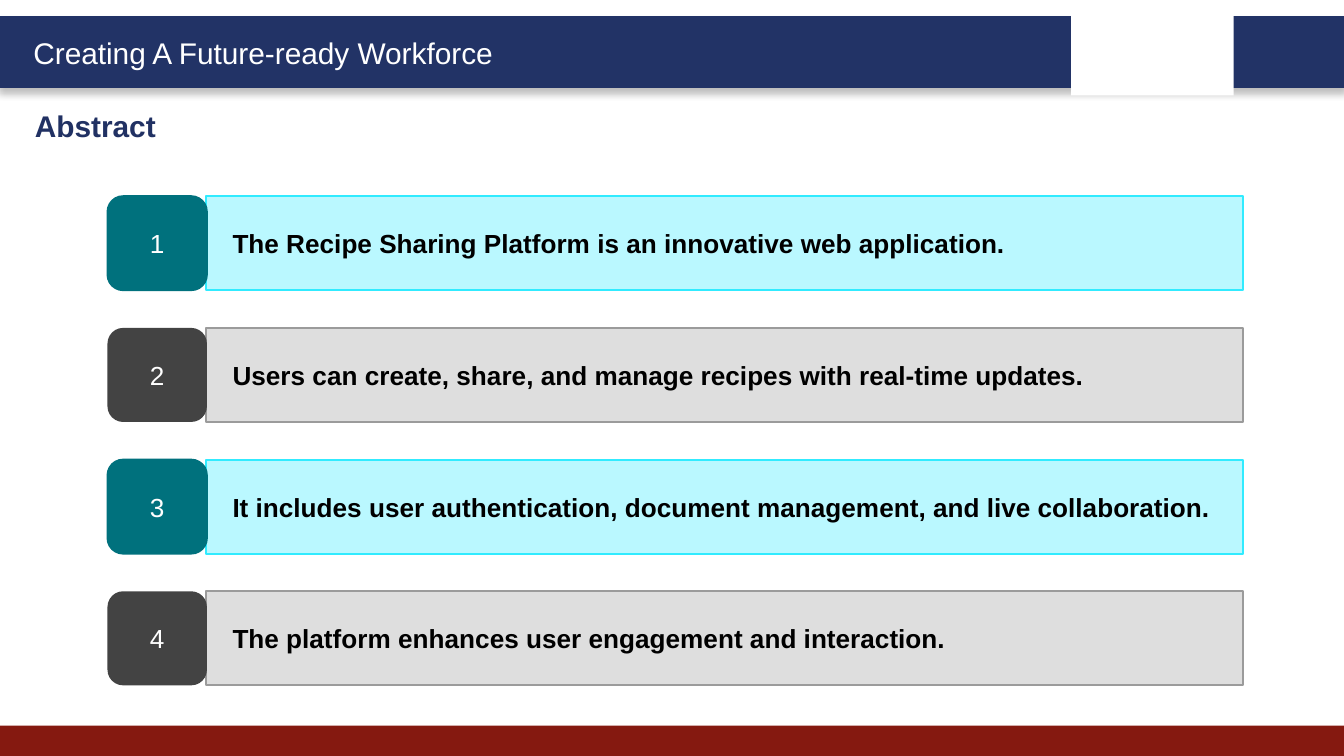
import pptx
import pptx.dml.color
import pptx.enum.shapes
import pptx.enum.text
import pptx.oxml
import pptx.oxml.ns
import pptx.util

Inches = pptx.util.Inches
Shape = pptx.enum.shapes.MSO_SHAPE
Align = pptx.enum.text.PP_ALIGN
Anchor = pptx.enum.text.MSO_ANCHOR

HEADER = "Creating A Future-ready Workforce"
TITLE = "Abstract"
POINTS = [
    "The Recipe Sharing Platform is an innovative web application.",
    "Users can create, share, and manage recipes with real-time updates.",
    "It includes user authentication, document management, and live collaboration.",
    "The platform enhances user engagement and interaction.",
]
# Alternating rows: bar fill, bar line, badge fill, badge line
ROW_COLORS = [
    ("BAF8FF", "31EBFF", "00717D", "00717D"),
    ("DEDEDE", "9B9B9B", "434343", None),
]
FIRST_TOP, ROW_STEP, ROW_HEIGHT = 1.46, 0.98, 0.7
BADGE_LEFT, BADGE_WIDTH = 0.8, 0.74
BAR_LEFT, BAR_WIDTH = 1.53, 7.72


def rgb(color):
    return pptx.dml.color.RGBColor.from_string(color)


def set_text(shape, text, size=14, color="000000", bold=False,
             align=Align.LEFT, anchor=Anchor.MIDDLE, margin_left=0.1):
    frame = shape.text_frame
    frame.word_wrap = True
    frame.auto_size = pptx.enum.text.MSO_AUTO_SIZE.NONE
    frame.vertical_anchor = anchor
    frame.margin_left = Inches(margin_left)
    paragraph = frame.paragraphs[0]
    paragraph.alignment = align
    run = paragraph.add_run()
    run.text = text
    run.font.name = "Arial"
    run.font.size = pptx.util.Pt(size)
    run.font.bold = bold
    run.font.color.rgb = rgb(color)


def add_box(shapes, kind, left, top, width, height, fill, line=None, line_width=1):
    shape = shapes.add_shape(kind, Inches(left), Inches(top), Inches(width), Inches(height))
    shape.shadow.inherit = False
    shape.fill.solid()
    shape.fill.fore_color.rgb = rgb(fill)
    if line:
        shape.line.color.rgb = rgb(line)
        shape.line.width = pptx.util.Pt(line_width)
    else:
        shape.line.fill.background()
    return shape


def add_drop_shadow(shape):
    effects = shape._element.spPr.find(pptx.oxml.ns.qn("a:effectLst"))
    effects.append(pptx.oxml.parse_xml(
        f'<a:outerShdw {pptx.oxml.ns.nsdecls("a")} blurRad="50800" dist="38100" '
        'dir="5400000" algn="t" rotWithShape="0">'
        '<a:srgbClr val="000000"><a:alpha val="25000"/></a:srgbClr></a:outerShdw>'))


def add_frame(slide):
    """Add the header band, its white panel, the footer band and the header text."""
    header = add_box(slide.shapes, Shape.RECTANGLE, 0, 0.13, 10, 0.51, "223366", "223366", 2)
    add_drop_shadow(header)
    add_box(slide.shapes, Shape.RECTANGLE, 0, 5.4, 10, 0.23, "851910")
    add_box(slide.shapes, Shape.RECTANGLE, 7.97, 0.07, 1.21, 0.64, "FFFFFF")
    label = slide.shapes.add_textbox(Inches(0.15), Inches(0.21), Inches(3.78), Inches(0.37))
    set_text(label, HEADER, size=16, color="FFFFFF", anchor=Anchor.TOP)


def add_row(slide, index, text):
    bar_fill, bar_line, badge_fill, badge_line = ROW_COLORS[index % len(ROW_COLORS)]
    top = FIRST_TOP + index * ROW_STEP
    shapes = slide.shapes.add_group_shape().shapes
    bar = add_box(shapes, Shape.RECTANGLE, BAR_LEFT, top, BAR_WIDTH, ROW_HEIGHT,
                  bar_fill, bar_line)
    set_text(bar, text, bold=True, margin_left=0.2)
    badge = add_box(shapes, Shape.ROUNDED_RECTANGLE, BADGE_LEFT, top, BADGE_WIDTH, ROW_HEIGHT,
                    badge_fill, badge_line)
    set_text(badge, str(index + 1), color="FFFFFF", align=Align.CENTER)


def main():
    presentation = pptx.Presentation()
    presentation.slide_width = Inches(10)
    presentation.slide_height = Inches(10 * 9 / 16)
    slide = presentation.slides.add_slide(presentation.slide_layouts[5])

    add_frame(slide)
    title = slide.shapes.title
    title.left, title.top = Inches(0.16), Inches(0.75)
    title.width, title.height = Inches(4.84), Inches(0.37)
    set_text(title, TITLE, size=16, color="213163", bold=True, anchor=Anchor.TOP)
    for index, text in enumerate(POINTS):
        add_row(slide, index, text)

    presentation.save("out.pptx")


if __name__ == "__main__":
    main()
